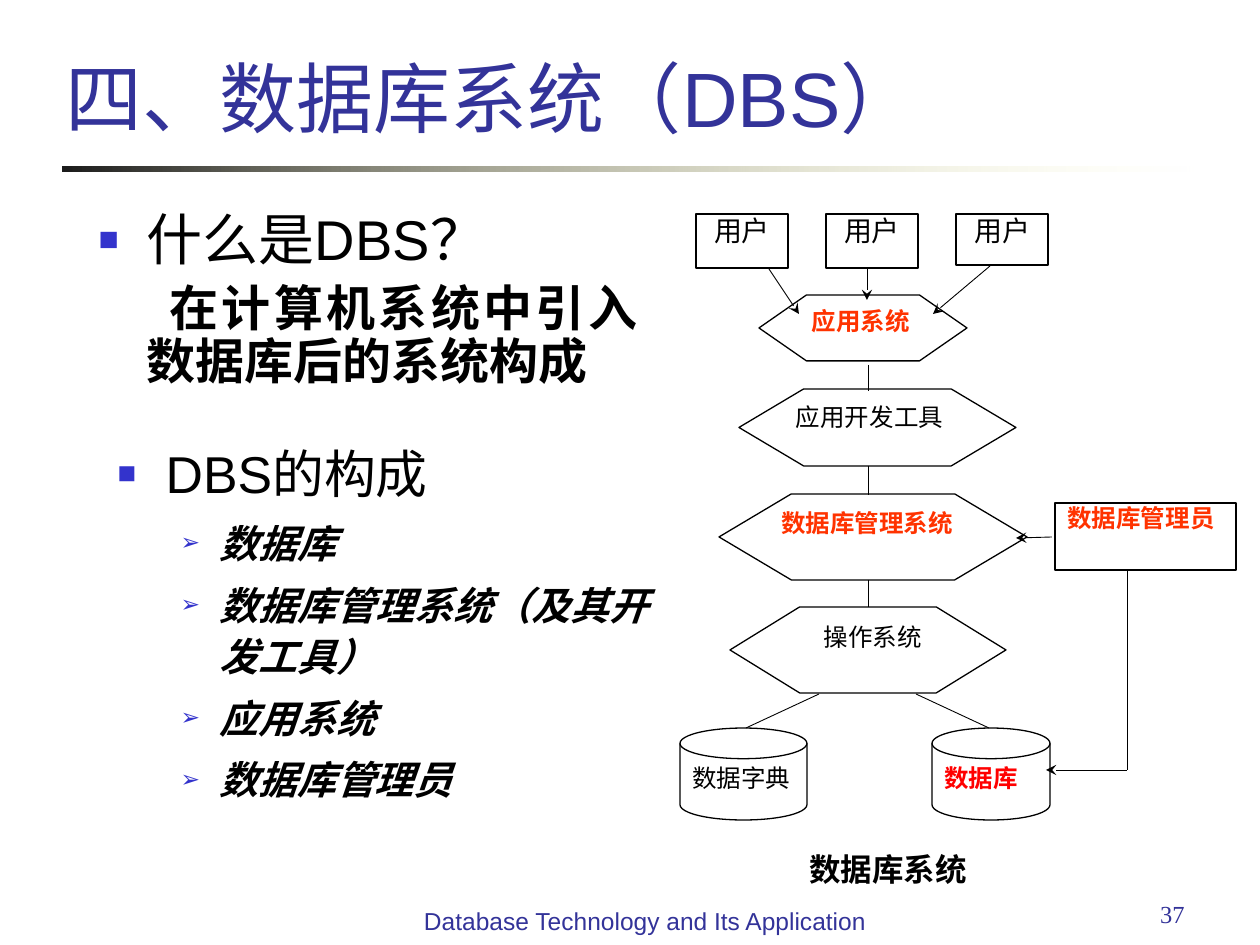
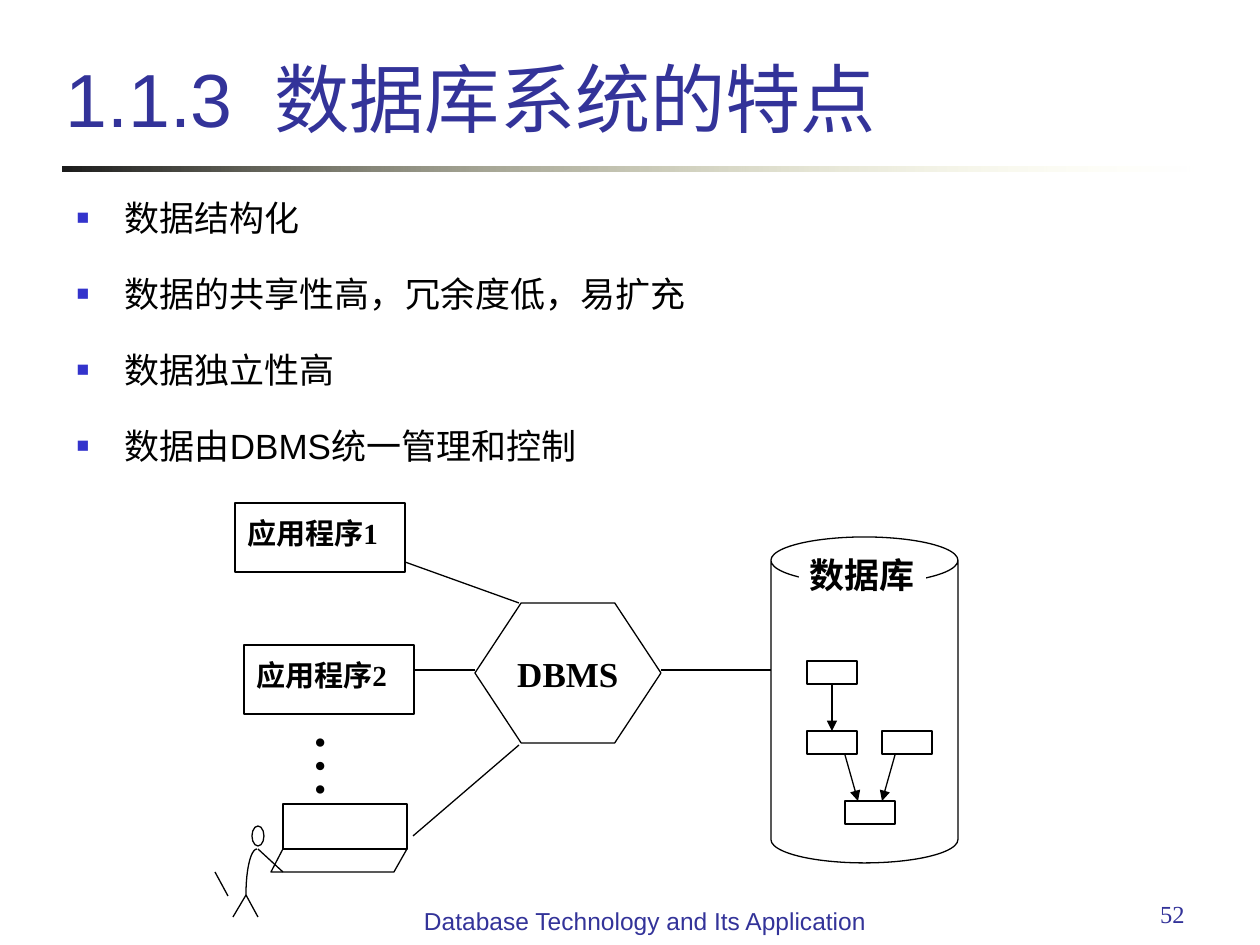
from lxml import etree
from pptx import Presentation
from pptx import util as u
from pptx.dml.color import RGBColor
from pptx.enum import shapes, text
from pptx.oxml.ns import qn

SCALE = 914400 / 126  # EMU in one px
COLOURS = {"ink": "000000", "paper": "FFFFFF", "title": "333399", "bullet": "3333CC",
           "accent": "FF3300", "red": "FF0000", "band_dark": "1C1C1C", "band_light": "FFFFB7"}
SANS, SERIF = "Arial", "Times New Roman"
LEFT, CENTER, RIGHT, JUSTIFY = (text.PP_ALIGN.LEFT, text.PP_ALIGN.CENTER,
                                text.PP_ALIGN.RIGHT, text.PP_ALIGN.JUSTIFY)
KIND = shapes.MSO_SHAPE
FOOTER = "Database Technology and Its Application"


def add_paragraph(frame, runs, align=LEFT, spacing=1.0, before=0, margin=0, indent=0, bullet=None):
    """Runs are (words, size, font, colour, style); style holds b and i."""
    paragraph = frame.paragraphs[-1]
    if paragraph.runs:
        paragraph = frame.add_paragraph()
    paragraph.alignment = align
    paragraph.line_spacing = spacing
    paragraph.space_before = u.Pt(before)
    properties = paragraph._p.get_or_add_pPr()
    properties.set("marL", str(int(margin * SCALE)))
    properties.set("indent", str(int(indent * SCALE)))
    if bullet:
        colour = etree.SubElement(properties, qn("a:buClr"))
        etree.SubElement(colour, qn("a:srgbClr"), val=COLOURS["bullet"])
        etree.SubElement(properties, qn("a:buSzPct"), val="60000")
        etree.SubElement(properties, qn("a:buFont"), typeface=SANS)
        etree.SubElement(properties, qn("a:buChar"), char=bullet)
    else:
        etree.SubElement(properties, qn("a:buNone"))
    for words, size, font, colour, style in runs:
        run = paragraph.add_run()
        run.text = words
        run.font.size = u.Pt(size)
        run.font.name = font
        run.font.color.rgb = RGBColor.from_string(COLOURS[colour])
        run.font.bold = "b" in style
        run.font.italic = "i" in style


def place(shape, box, anchor=text.MSO_ANCHOR.TOP):
    """Move a shape to its px box and prepare its text frame."""
    shape.left, shape.top, shape.width, shape.height = [int(value * SCALE) for value in box]
    frame = shape.text_frame
    frame.word_wrap = True
    frame.auto_size = text.MSO_AUTO_SIZE.NONE
    frame.vertical_anchor = anchor
    return frame


presentation = Presentation()
presentation.slide_width, presentation.slide_height = int(1260 * SCALE), int(945 * SCALE)

# Shared parts: title, gradient band, page number, footer
slides = []
for layout, title, size, number in ((3, "四、数据库系统（DBS）", 44, "37"),
                                    (1, "1.1.3  数据库系统的特点", 43, "52")):
    slide = presentation.slides.add_slide(presentation.slide_layouts[layout])
    slides.append(slide)
    frame = place(slide.shapes.title, (53, 0, 1106, 149), text.MSO_ANCHOR.BOTTOM)
    add_paragraph(frame, [(title, size, SANS, "title", "")])

    band = slide.shapes.add_shape(KIND.RECTANGLE, 0, 0, 0, 0)
    place(band, (63, 167, 1134, 5))
    band.shadow.inherit = False
    band.line.fill.background()
    band.fill.gradient()
    band.fill.gradient_angle = 0
    for stop, colour in zip(band.fill.gradient_stops, ("band_dark", "band_light")):
        stop.color.rgb = RGBColor.from_string(COLOURS[colour])
    light = band.element.spPr.findall(".//" + qn("a:srgbClr"))[-1]
    etree.SubElement(light, qn("a:alpha"), val="0")

    for words, box, font, align in ((number, (903, 893, 294, 48), SERIF, RIGHT),
                                    (FOOTER, (402, 900, 486, 44), SANS, CENTER)):
        frame = place(slide.shapes.add_textbox(0, 0, 0, 0), box)
        add_paragraph(frame, [(words, 14, font, "title", "")], align)
system_slide, feature_slide = slides

# System slide: definition and components
definition, components = list(system_slide.placeholders)[1:]
frame = place(definition, (86, 192, 564, 213))
add_paragraph(frame, [("什么是DBS？", 32, SANS, "ink", "")], JUSTIFY, 1.1, 8, 48, -48, "■")
add_paragraph(frame, [("在计算机系统中引入数据库后的系统构成", 28, SANS, "ink", "b")],
              JUSTIFY, 0.9, 7, 48, 23)
frame = place(components, (105, 442, 556, 348))
add_paragraph(frame, [("DBS", 29.6, SANS, "ink", ""), ("的构成", 29.6, SERIF, "ink", "")],
              JUSTIFY, 0.9, 8, 48, -48, "■")
for words in ("数据库", "数据库管理系统（及其开发工具）", "应用系统", "数据库管理员"):
    add_paragraph(frame, [(words, 22.2, SANS, "ink", "bi")], JUSTIFY, 1.1, 6, 102, -39, "➢")

# Feature slide: list of features
frame = place(feature_slide.placeholders[1], (64, 165, 1149, 338))
for words in ("数据结构化", "数据的共享性高，冗余度低，易扩充", "数据独立性高",
              "数据由DBMS统一管理和控制"):
    add_paragraph(frame, [(words, 20, SANS, "ink", "")], LEFT, 1.6, 5, 48, -48, "■")

# Diagram shapes: kind, box, adjustment, words, size, colour, style, align, spacing, indent, top inset
HEXAGON, DISK, RECTANGLE = KIND.HEXAGON, KIND.FLOWCHART_MAGNETIC_DISK, KIND.RECTANGLE
system_shapes = [
    (HEXAGON, (759, 295, 208, 66), 0.72, "应用系统", 14, "accent", "b", JUSTIFY, 0.8, 7, 6),
    (HEXAGON, (739, 389, 277, 77), 0.84, "应用开发工具", 14, "ink", "", JUSTIFY, 0.8, 0, 6),
    (HEXAGON, (719, 494, 308, 86), 0.84, "数据库管理系统", 14, "accent", "b", JUSTIFY, 0.8, 0, 6),
    (HEXAGON, (730, 607, 276, 86), 0.81, "操作系统", 14, "ink", "", JUSTIFY, 0.8, 35, 6),
    (RECTANGLE, (1055, 503, 181, 67), None, "数据库管理员", 14, "accent", "b", JUSTIFY, 0.8, 0, 6),
    (DISK, (680, 728, 127, 92), None, "数据字典", 14, "ink", "", JUSTIFY, 0.96, 0, 6),
    (DISK, (932, 728, 118, 92), None, "数据库", 14, "red", "b", JUSTIFY, 0.96, 0, 6),
]
for column, height in enumerate((54, 54, 51)):
    system_shapes.append((RECTANGLE, (696 + 130 * column, 214, 92, height), None,
                          "用户", 16, "ink", "", CENTER, 0.8, 0, 6))

feature_shapes = [
    (HEXAGON, (475, 603, 186, 140), 0.33, "DBMS", 20, "ink", "b", CENTER, 1.0, 0, 26),
    (KIND.CAN, (771, 537, 187, 326), 0.25, "", 0, "ink", "", LEFT, 1.0, 0, 0),
    (RECTANGLE, (235, 503, 170, 69), None, "应用程序1", 16.6, "ink", "b", JUSTIFY, 0.9, 0, 16),
    (RECTANGLE, (244, 645, 170, 69), None, "应用程序2", 16.6, "ink", "b", JUSTIFY, 0.9, 0, 16),
    (RECTANGLE, (283, 804, 124, 45), None, "", 0, "ink", "", LEFT, 1.0, 0, 0),
    (KIND.FLOWCHART_CONNECTOR, (252, 826, 12, 20), None, "", 0, "ink", "", LEFT, 1.0, 0, 0),
]
for left, top in ((807, 661), (807, 731), (882, 731), (845, 801)):  # records in the database
    feature_shapes.append((RECTANGLE, (left, top, 50, 23), None, "", 0, "ink", "", LEFT, 1.0, 0, 0))

for slide, items in ((system_slide, system_shapes), (feature_slide, feature_shapes)):
    for kind, box, adjustment, words, size, colour, style, align, spacing, indent, inset in items:
        shape = slide.shapes.add_shape(kind, 0, 0, 0, 0)
        frame = place(shape, box)
        shape.shadow.inherit = False
        shape.fill.solid()
        shape.fill.fore_color.rgb = RGBColor.from_string(COLOURS["paper"])
        shape.line.color.rgb = RGBColor.from_string(COLOURS["ink"])
        shape.line.width = u.Pt(0.75)
        if adjustment:
            shape.adjustments[0] = adjustment
        frame.margin_top = int(inset * SCALE)
        if words == "DBMS":
            frame.margin_left = frame.margin_right = 0
        if words:
            add_paragraph(frame, [(words, size, SERIF, colour, style)], align, spacing, indent=indent)

# Diagram lines: start, end, arrowhead
system_lines = [
    (1127, 770, 1046, 770, "stealth"), (1127, 571, 1127, 770, None),
    (1052, 537, 1016, 538, "stealth"), (868, 365, 868, 391, None),
    (868, 466, 868, 495, None), (868, 580, 868, 607, None),
    (769, 269, 799, 314, "stealth"), (990, 266, 933, 314, "stealth"),
    (867, 268, 867, 300, "stealth"),
    (819, 694, 746, 728, None), (916, 694, 989, 728, None),
]
feature_lines = [
    (832, 685, 832, 731, "triangle"), (845, 755, 858, 801, "triangle"),
    (895, 755, 882, 801, "triangle"), (661, 670, 771, 670, None),
    (405, 562, 519, 603, None), (414, 670, 475, 670, None), (413, 836, 519, 745, None),
    (215, 872, 228, 896, None), (246, 895, 258, 917, None),
    (246, 895, 233, 917, None), (258, 849, 283, 872, None),
]
for slide, items, arrow_width in ((system_slide, system_lines, 0.5),
                                  (feature_slide, feature_lines, 0.75)):
    for *ends, arrow in items:
        line = slide.shapes.add_connector(shapes.MSO_CONNECTOR.STRAIGHT,
                                          *[int(value * SCALE) for value in ends])
        line.line.color.rgb = RGBColor.from_string(COLOURS["ink"])
        line.line.width = u.Pt(arrow_width)
        properties = line.element.spPr
        if arrow:
            etree.SubElement(properties.find(qn("a:ln")), qn("a:tailEnd"), type=arrow)
        etree.SubElement(properties, qn("a:effectLst"))

# Keyboard of the computer and curved back of its user
keyboard = [(283, 849), (407, 849), (394, 872), (271, 872)]
back = []
for step in range(13):
    t = step / 12
    weights = ((1 - t) ** 3, 3 * t * (1 - t) ** 2, 3 * t * t * (1 - t), t ** 3)
    back.append((sum(w * x for w, x in zip(weights, (257, 251, 246, 246))),
                 sum(w * y for w, y in zip(weights, (849, 849, 869, 895)))))
for points, closed in ((keyboard, True), (back, False)):
    points = [(int(x * SCALE), int(y * SCALE)) for x, y in points]
    builder = feature_slide.shapes.build_freeform(*points[0])
    builder.add_line_segments(points[1:], close=closed)
    outline = builder.convert_to_shape()
    outline.shadow.inherit = False
    outline.fill.background()
    outline.line.color.rgb = RGBColor.from_string(COLOURS["ink"])
    outline.line.width = u.Pt(0.75)

# Caption of the system diagram
frame = place(system_slide.shapes.add_textbox(0, 0, 0, 0), (762, 844, 241, 50))
add_paragraph(frame, [("数据库系统", 18, SERIF, "ink", "b")], before=11.2, indent=35)

# Database label, covering part of the rim
label = feature_slide.shapes.add_textbox(0, 0, 0, 0)
frame = place(label, (799, 553, 127, 47))
label.fill.solid()
label.fill.fore_color.rgb = RGBColor.from_string(COLOURS["paper"])
frame.margin_left = frame.margin_right = frame.margin_top = frame.margin_bottom = 0
add_paragraph(frame, [("数据库", 20, SERIF, "ink", "b")], CENTER)

# Vertical dots between the programs
frame = place(feature_slide.shapes.add_textbox(0, 0, 0, 0), (286, 719, 108, 97))
frame.margin_left = frame.margin_right = int(6 * SCALE)
frame.margin_top = frame.margin_bottom = int(13 * SCALE)
frame._txBody.bodyPr.set("vert", "eaVert")
add_paragraph(frame, [("…", 40, SERIF, "ink", "")], before=25)

presentation.save("out.pptx")
